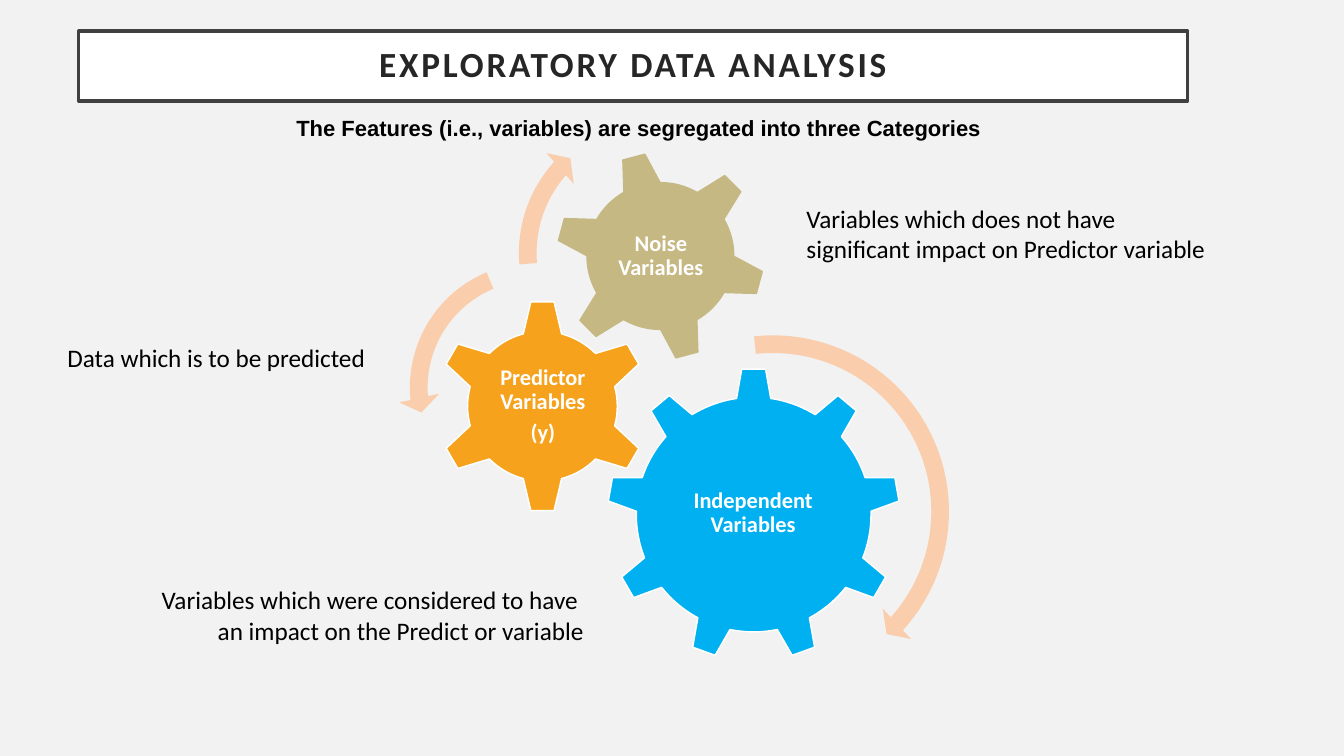
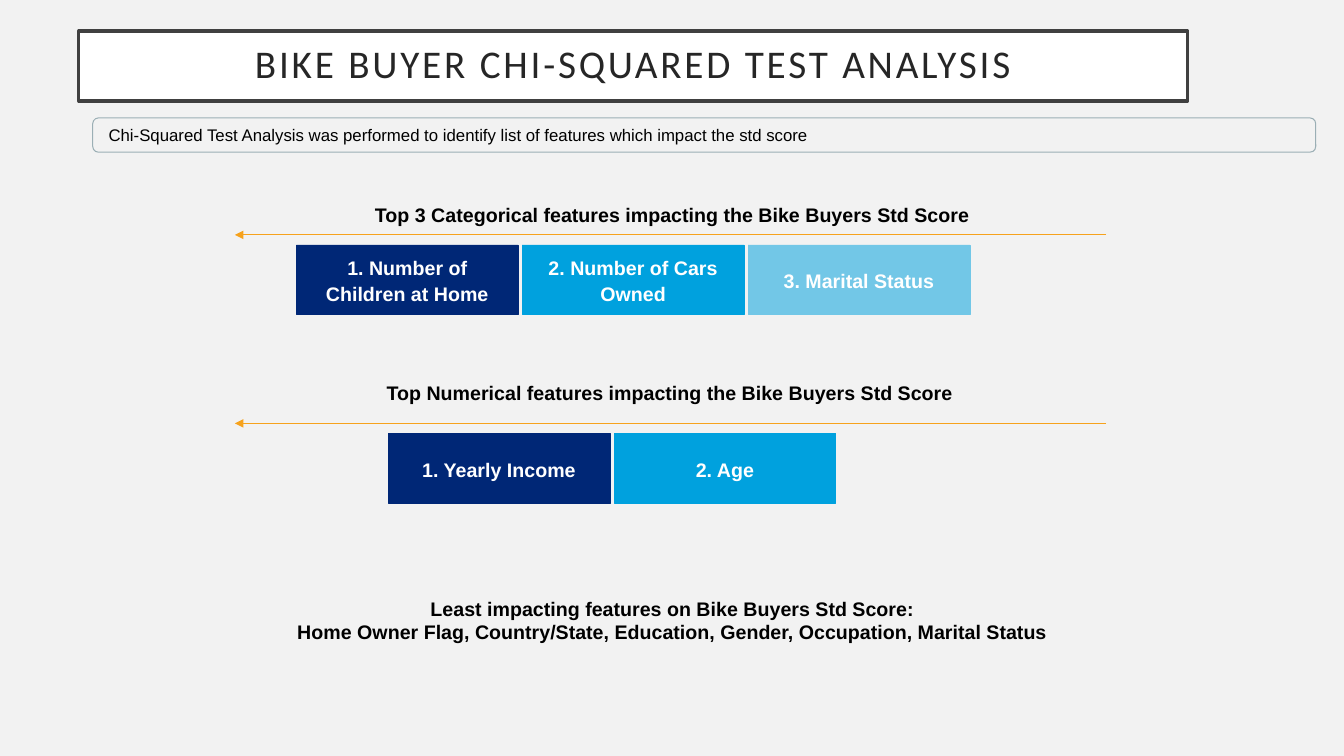
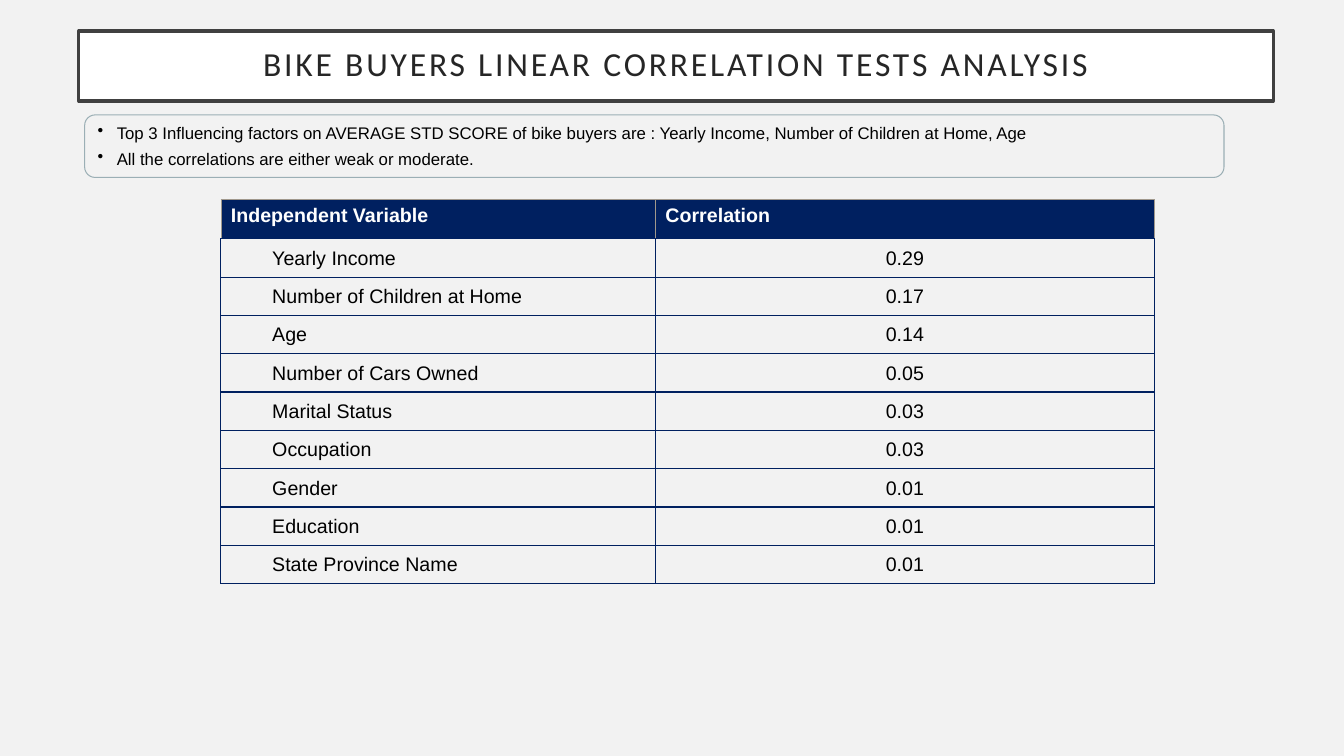
"""Build three slides on the features behind bike buyer scores."""
from dataclasses import dataclass

from lxml import etree
from pptx import Presentation
from pptx.dml.color import RGBColor
from pptx.enum.shapes import MSO_CONNECTOR, MSO_SHAPE
from pptx.enum.text import MSO_ANCHOR, MSO_AUTO_SIZE, PP_ALIGN
from pptx.oxml.ns import qn
from pptx.util import Inches, Pt

LEFT, MID, RIGHT = PP_ALIGN.LEFT, PP_ALIGN.CENTER, PP_ALIGN.RIGHT
TOP, CORE = MSO_ANCHOR.TOP, MSO_ANCHOR.MIDDLE
RECT, ROUND = MSO_SHAPE.RECTANGLE, MSO_SHAPE.ROUNDED_RECTANGLE
SIX, NINE = MSO_SHAPE.GEAR_6, MSO_SHAPE.GEAR_9
TURN, BACK = MSO_SHAPE.CIRCULAR_ARROW, MSO_SHAPE.LEFT_CIRCULAR_ARROW
FIXED = MSO_AUTO_SIZE.NONE
STRAIGHT = MSO_CONNECTOR.STRAIGHT


@dataclass(frozen=True)
class Theme:
    page: str = "F2F2F2"
    white: str = "FFFFFF"
    black: str = "000000"
    ink: str = "262626"
    frame: str = "404040"
    blue: str = "00B0F0"
    gold: str = "F6A21D"
    khaki: str = "C5B883"
    peach: str = "FACEAC"
    mist: str = "9BAFB5"
    navy: str = "002060"
    stone: str = "A0988C"
    ranks: tuple = ("002776", "00A1DE", "72C7E7")
    sans: str = "Arial"
    head: str = "Calibri"
    note: float = 12
    body: float = 14
    lead: float = 15.7
    gear: float = 16
    side: float = 18


T = Theme()

GEARS = [
    (NINE, 6.02, 3.65, 2.91, 0, T.blue, T.white,
     ["Independent Variables"], (6.6, 4.34, 1.74, 1.5)),
    (SIX, 4.32, 2.97, 2.12, 0, T.gold, T.white,
     ["Predictor Variables", "(y)"], (4.86, 3.5, 1.05, 1.05)),
    (SIX, 5.51, 1.5, 2.08, 345, T.khaki, T.khaki,
     ["Noise Variables"], (5.97, 1.96, 1.17, 1.17)),
]
ARROWS = [
    (TURN, 5.8, 3.21, 3.73, (0.047, 2.99, 25.297, 158.323, 0.055)),
    (BACK, 3.95, 2.49, 2.71, (0.065, 4.3, 104.891, 148.378, 0.075)),
    (TURN, 5.03, 1.05, 2.92, (0.06, 3.941, 133.138, 105.082, 0.07)),
]
SIDES = [
    (["Variables which does not have",
      "significant impact on Predictor variable"],
     (7.9, 1.97, 4.44, 0.71), LEFT),
    (["Data which is to be predicted"], (0.57, 3.35, 3.36, 0.4), LEFT),
    (["Variables which were considered to have ",
      "an impact on the Predict or variable"],
     (1.23, 5.75, 4.66, 0.71), RIGHT),
]
RANKS = [
    ("Top 3 Categorical features impacting the Bike Buyers Std Score",
     (3.54, 1.96, 6.26, 0.34), 2.33, 2.94,
     ["1. Number of Children at Home", "2. Number of Cars Owned",
      "3. Marital Status"]),
    ("Top Numerical features impacting the Bike Buyers Std Score",
     (3.71, 3.73, 5.87, 0.34), 4.2, 3.85,
     ["1. Yearly Income", "2. Age"]),
]
LEAST = [
    "Least impacting features on Bike Buyers Std Score:",
    "Home Owner Flag, Country/State, Education, Gender, Occupation, "
    "Marital Status",
]
FACTS = [
    "Top 3 Influencing factors on AVERAGE STD SCORE of bike buyers are : "
    "Yearly Income, Number of Children at Home, Age",
    "All the correlations are either weak or moderate.",
]
ROWS = [
    ("Independent Variable", "Correlation"),
    ("Yearly Income", "0.29"),
    ("Number of Children at Home", "0.17"),
    ("Age", "0.14"),
    ("Number of Cars Owned", "0.05"),
    ("Marital Status", "0.03"),
    ("Occupation", "0.03"),
    ("Gender", "0.01"),
    ("Education", "0.01"),
    ("State Province Name", "0.01"),
]


def rgb(code):
    return RGBColor.from_string(code)


def inch(*nums):
    return [Inches(n) for n in nums]


def write(frame, lines, size=T.body, font=T.sans, color=T.black, bold=False,
          align=LEFT, anchor=TOP, pad=(0.1, 0.05, 0.1, 0.05), gap=None,
          before=0, after=0, track=0, bullet=None):
    frame.word_wrap = True
    frame.auto_size = FIXED
    frame.vertical_anchor = anchor
    (frame.margin_left, frame.margin_top,
     frame.margin_right, frame.margin_bottom) = inch(*pad)
    for i, line in enumerate(lines):
        para = frame.add_paragraph() if i else frame.paragraphs[0]
        para.alignment = align
        para.space_before = Pt(before if i else 0)
        para.space_after = Pt(after)
        if gap:
            para.line_spacing = gap
        if bullet:
            props = para._p.get_or_add_pPr()
            props.set("marL", str(Inches(0.19)))
            props.set("indent", str(-Inches(0.19)))
            etree.SubElement(props, qn("a:buChar"), char=bullet)
        run = para.add_run()
        run.text = line
        face = run.font
        face.size, face.name, face.bold = Pt(size), font, bold
        face.color.rgb = rgb(color)
        if track:
            run._r.get_or_add_rPr().set("spc", str(track * 100))


def paint(shape, fill=None, line=None, width=1):
    if fill:
        shape.fill.solid()
        shape.fill.fore_color.rgb = rgb(fill)
    else:
        shape.fill.background()
    if line:
        shape.line.color.rgb = rgb(line)
        shape.line.width = Pt(width)
    else:
        shape.line.fill.background()


def draw(slide, kind, box, fill=None, line=None, width=1):
    shape = slide.shapes.add_shape(kind, *inch(*box))
    shape.shadow.inherit = False
    paint(shape, fill, line, width)
    return shape


def label(slide, box, lines, **form):
    write(slide.shapes.add_textbox(*inch(*box)).text_frame, lines, **form)


def start(deck, text, size, wide=11, bold=False):
    slide = deck.slides.add_slide(deck.slide_layouts[5])
    title = slide.shapes.title
    title.left, title.top, title.width, title.height = inch(
        0.78, 0.31, wide, 0.69)
    paint(title, T.white, T.frame, 2.5)
    write(title.text_frame, [text], size=size, font=T.head, color=T.ink,
          bold=bold, align=MID, anchor=CORE, pad=(0.2,) * 4, gap=0.9, track=2)
    return slide


def rule(slide, y):
    line = slide.shapes.add_connector(STRAIGHT, *inch(10.97, y, 2.33, y))
    line.line.color.rgb = rgb(T.gold)
    line.line.width = Pt(0.5)
    etree.SubElement(line.line._get_or_add_ln(), qn("a:tailEnd"),
                     type="triangle")
    etree.SubElement(line._element.spPr, qn("a:effectLst"))


def edge(cell, sides):
    props = cell._tc.get_or_add_tcPr()
    for side, (color, width) in zip("LRTB", sides):
        line = etree.SubElement(props, qn(f"a:ln{side}"), w=str(Pt(width)))
        fill = etree.SubElement(line, qn("a:solidFill"))
        etree.SubElement(fill, qn("a:srgbClr"), val=color)


def gears(deck):
    slide = start(deck, "EXPLORATORY DATA ANALYSIS", 25.2, bold=True)
    label(slide, (2.84, 1.03, 7.41, 0.49),
          ["The Features (i.e., variables) are segregated into three "
           "Categories"], size=T.lead, bold=True, gap=1.2)
    for kind, x, y, side, turn, fill, line, lines, box in GEARS:
        draw(slide, kind, (x, y, side, side), fill, line).rotation = turn
        label(slide, box, lines, size=T.gear, font=T.head, color=T.white,
              bold=True, align=MID, anchor=CORE, pad=(0.02,) * 4, gap=0.9,
              after=5)
    for kind, x, y, side, bends in ARROWS:
        arrow = draw(slide, kind, (x, y, side, side), T.peach)
        for i, bend in enumerate(bends):
            arrow.adjustments[i] = bend
    for lines, box, align in SIDES:
        label(slide, box, lines, size=T.side, font=T.head, align=align)


def ranks(deck):
    slide = start(deck, "BIKE BUYER CHI-SQUARED TEST ANALYSIS", 28)
    note = draw(slide, ROUND, (0.92, 1.17, 12.13, 0.34), None, T.mist, 0.75)
    write(note.text_frame,
          ["Chi-Squared Test Analysis was performed to identify list of "
           "features which impact the std score"],
          size=T.note, pad=(0.14, 0.05, 0.1, 0.05))
    wide, space = 2.2, 0.04
    for head, box, y, x, names in RANKS:
        label(slide, box, [head], bold=True, align=MID)
        rule(slide, y)
        for i, (name, color) in enumerate(zip(names, T.ranks)):
            spot = (x + i * (wide + space), y + 0.1, wide, 0.69)
            chip = draw(slide, RECT, spot, color, color, 0.5)
            write(chip.text_frame, [name], color=T.white, bold=True,
                  align=MID, anchor=CORE, pad=(0.1,) * 4, gap=1.1)
    label(slide, (0.8, 5.87, 11.74, 0.57), LEAST, bold=True, align=MID)


def table(deck):
    slide = start(deck, "BIKE BUYERS LINEAR CORRELATION TESTS ANALYSIS", 24,
                  wide=11.85)
    note = draw(slide, ROUND, (0.84, 1.14, 11.3, 0.62), None, T.mist, 0.75)
    write(note.text_frame, FACTS, size=T.note, before=4, bullet="•")
    grid = slide.shapes.add_table(
        len(ROWS), 2, *inch(2.19, 1.98, 9.26, 3.76)).table
    grid.first_row = grid.horz_banding = False
    for col, wide in zip(grid.columns, (4.31, 4.95)):
        col.width = Inches(wide)
    thin, firm = (T.stone, 0.5), (T.navy, 1)
    for r, row in enumerate(ROWS):
        grid.rows[r].height = Inches(0.38 if r else 0.39)
        for c, text in enumerate(row):
            cell = grid.cell(r, c)
            edge(cell, [firm] * 4 if r else [thin, thin, thin, firm])
            if r:
                cell.fill.background()
                form = dict(align=MID if c else LEFT)
                pad = (0.01 if c else 0.51, 0.01, 0.01, 0)
            else:
                cell.fill.solid()
                cell.fill.fore_color.rgb = rgb(T.navy)
                form = dict(color=T.white, bold=True)
                pad = (0.1, 0.05, 0.1, 0.05)
            write(cell.text_frame, [text], **form)
            cell.vertical_anchor = CORE if r else TOP
            (cell.margin_left, cell.margin_top,
             cell.margin_right, cell.margin_bottom) = inch(*pad)


def main():
    deck = Presentation()
    deck.slide_width, deck.slide_height = inch(13.33, 7.5)
    back = deck.slide_master.background.fill
    back.solid()
    back.fore_color.rgb = rgb(T.page)
    for build in (gears, ranks, table):
        build(deck)
    deck.save("out.pptx")


if __name__ == "__main__":
    main()
